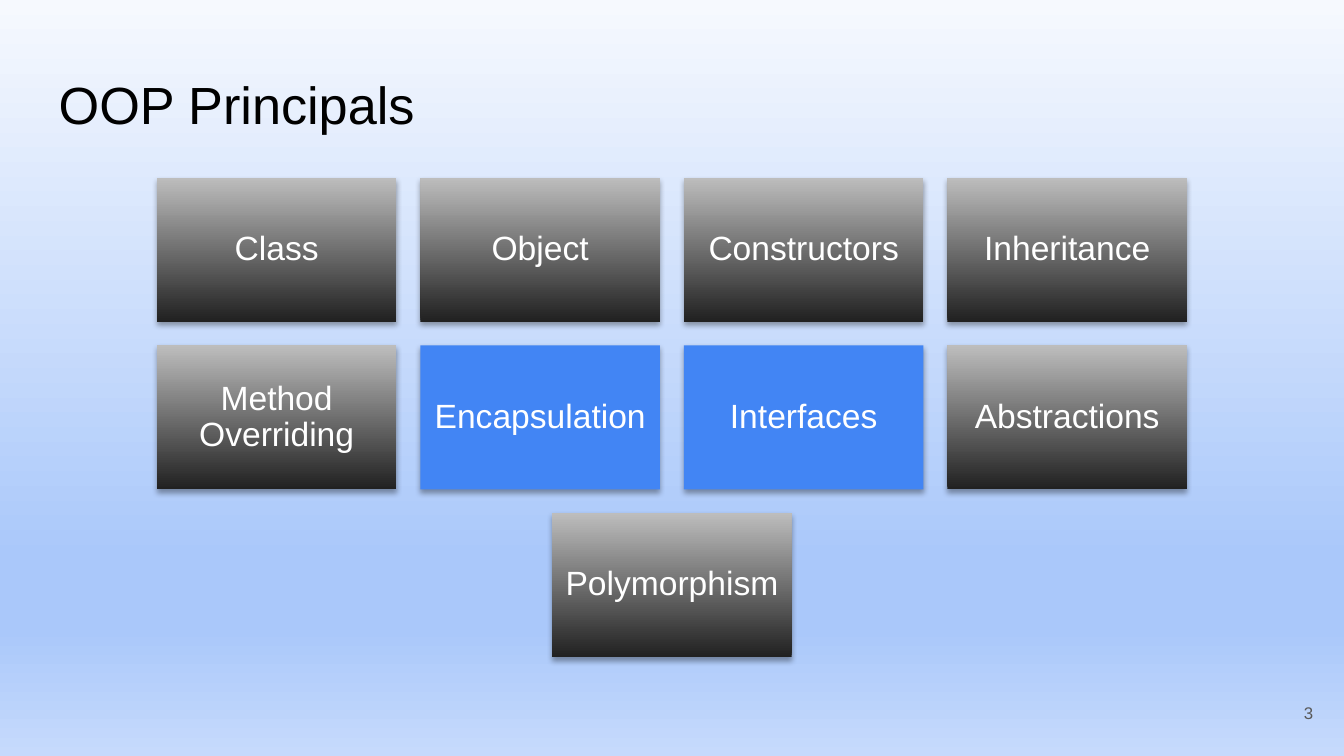
from lxml.etree import SubElement
from pptx import Presentation
from pptx.dml.color import RGBColor
from pptx.enum.shapes import MSO_SHAPE
from pptx.enum.text import MSO_ANCHOR, MSO_AUTO_SIZE, PP_ALIGN
from pptx.oxml.ns import qn
from pptx.util import Cm, Pt

TITLE = "OOP Principals"
PAGE_NUMBER = "3"
PRINCIPLES = [
    ["Class", "Object", "Constructors", "Inheritance"],
    ["Method Overriding", "Encapsulation", "Interfaces", "Abstractions"],
    ["Polymorphism"],
]
HIGHLIGHTED = {"Encapsulation", "Interfaces"}

THEME = {
    "font": "Arial",
    "title_size": 28,
    "tile_size": 18,
    "number_size": 9,
    "title": "000000",
    "tile_text": "FFFFFF",
    "number": "595959",
    "highlight": "4285F4",
    "shadow": "000000",
    "tile_stops": [(0, "212121"), (100, "BDBDBD")],
    "page_stops": [(0, "F6F9FE"), (74, "AAC8FA"), (83, "AAC8FA"), (100, "C6DAFC")],
}

PAGE_WIDTH, PAGE_HEIGHT = 25.4, 14.29
TILE_WIDTH, TILE_HEIGHT, TILE_GAP = 4.53, 2.72, 0.45
GRID_TOP = 3.36


def write(box, text, size, color, align=PP_ALIGN.LEFT, inset=0.25, after=0):
    frame = box.text_frame
    frame.word_wrap = True
    frame.auto_size = MSO_AUTO_SIZE.NONE
    frame.vertical_anchor = MSO_ANCHOR.MIDDLE
    frame.margin_left = frame.margin_right = Cm(inset)
    frame.margin_top = frame.margin_bottom = Cm(inset)
    para = frame.paragraphs[0]
    para.alignment = align
    para.line_spacing = 0.9
    para.space_before = Pt(0)
    para.space_after = Pt(after)
    span = para.add_run()
    span.text = text
    span.font.name = THEME["font"]
    span.font.size = Pt(size)
    span.font.color.rgb = RGBColor.from_string(color)


def fill_gradient(fill, element, stops, angle):
    fill.gradient()
    fill.gradient_angle = angle
    stop_list = next(element.iter(qn("a:gsLst")))
    stop_list.clear()
    for position, color in stops:
        stop = SubElement(stop_list, qn("a:gs"), pos=str(position * 1000))
        SubElement(stop, qn("a:srgbClr"), val=color)


def add_shadow(shape):
    effects = SubElement(shape.element.spPr, qn("a:effectLst"))
    shadow = SubElement(
        effects, qn("a:outerShdw"),
        blurRad=str(Pt(3.1)), dist=str(Pt(1.8)), dir="5400000", rotWithShape="0",
    )
    color = SubElement(shadow, qn("a:srgbClr"), val=THEME["shadow"])
    SubElement(color, qn("a:alpha"), val="35000")


def add_tile(page, text, left, top):
    tile = page.shapes.add_shape(
        MSO_SHAPE.RECTANGLE, Cm(left), Cm(top), Cm(TILE_WIDTH), Cm(TILE_HEIGHT)
    )
    if text in HIGHLIGHTED:
        tile.fill.solid()
        tile.fill.fore_color.rgb = RGBColor.from_string(THEME["highlight"])
    else:
        fill_gradient(tile.fill, tile.element, THEME["tile_stops"], 90)
    tile.line.fill.background()
    add_shadow(tile)
    write(tile, text, THEME["tile_size"], THEME["tile_text"],
          align=PP_ALIGN.CENTER, inset=0.17)


def main():
    deck = Presentation()
    deck.slide_width, deck.slide_height = Cm(PAGE_WIDTH), Cm(PAGE_HEIGHT)
    page = deck.slides.add_slide(deck.slide_layouts[5])
    fill_gradient(page.background.fill, page.element, THEME["page_stops"], 270)

    title = page.shapes.title
    title.left, title.top, title.width, title.height = Cm(0.86), Cm(1.24), Cm(23.67), Cm(1.6)
    write(title, TITLE, THEME["title_size"], THEME["title"])

    number = page.shapes.add_textbox(Cm(23.55), Cm(12.95), Cm(1.52), Cm(1.09))
    write(number, PAGE_NUMBER, THEME["number_size"], THEME["number"],
          align=PP_ALIGN.RIGHT, after=6)

    for row, names in enumerate(PRINCIPLES):
        row_width = len(names) * (TILE_WIDTH + TILE_GAP) - TILE_GAP
        row_left = (PAGE_WIDTH - row_width) / 2
        top = GRID_TOP + row * (TILE_HEIGHT + TILE_GAP)
        for column, name in enumerate(names):
            add_tile(page, name, row_left + column * (TILE_WIDTH + TILE_GAP), top)

    deck.save("out.pptx")


if __name__ == "__main__":
    main()
